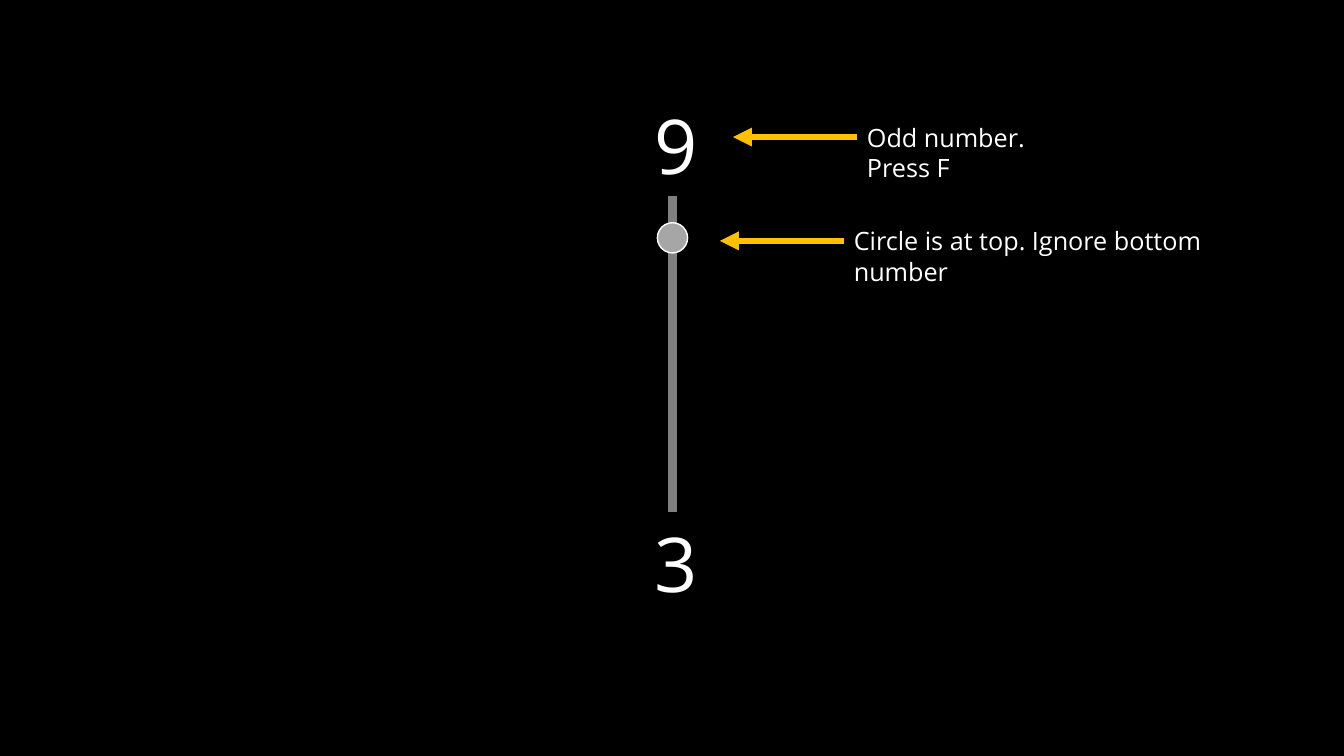
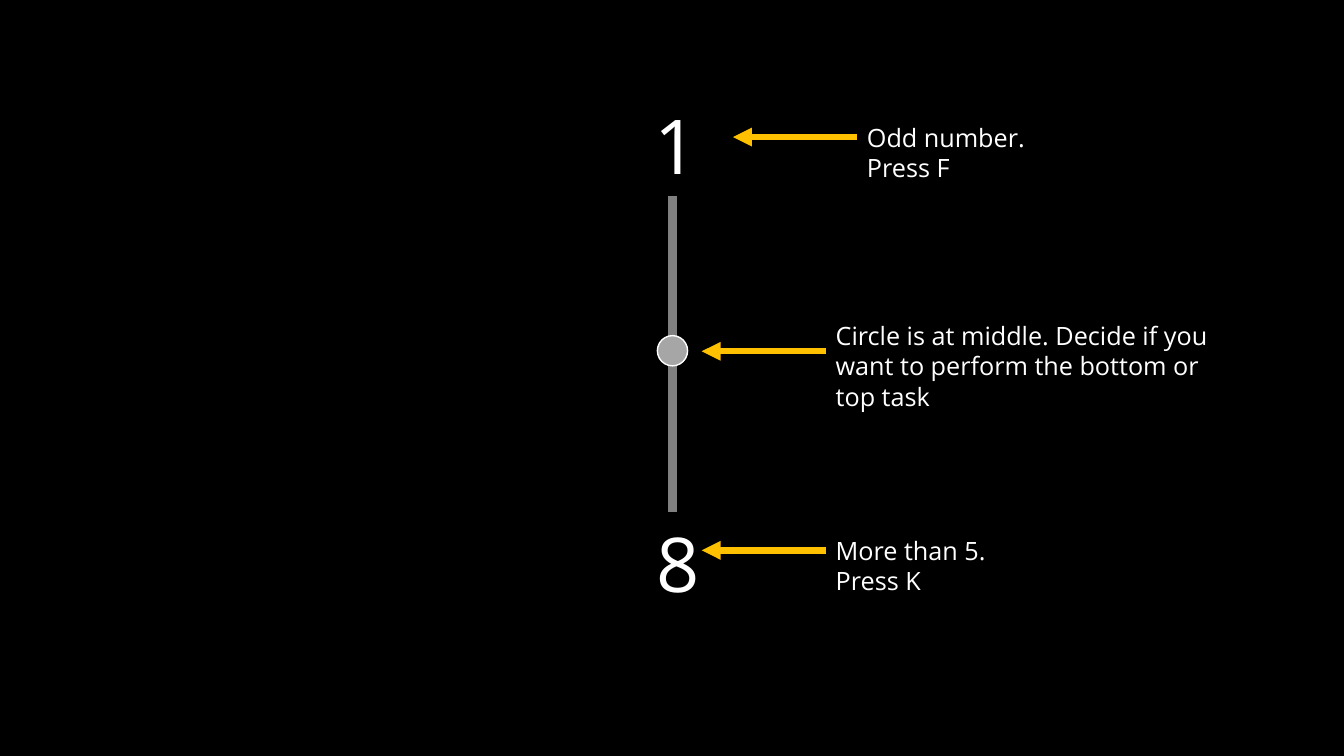
from dataclasses import dataclass

from lxml.etree import SubElement
from pptx import Presentation
from pptx.dml.color import RGBColor
from pptx.enum.shapes import MSO_CONNECTOR as Connector, MSO_SHAPE as Preset
from pptx.enum.text import MSO_AUTO_SIZE as AutoSize
from pptx.oxml.ns import qn
from pptx.shapes.connector import Connector as Line
from pptx.slide import Slide
from pptx.util import Inches, Pt

COLORS = {
    "background": "000000",
    "text": "FFFFFF",
    "track": "808080",
    "circle": "A6A6A6",
    "arrow": "FFC000",
}
FONT = "Open Sans"
TRACK_X, TRACK_TOP, TRACK_BOTTOM = 6.67, 1.94, 5.08
CIRCLE_SIZE = 0.3
NUMBER_TOP, NUMBER_WIDTH, NUMBER_HEIGHT = 0.93, 0.54, 1.01
ARROW_LENGTH = 1.23


@dataclass(frozen=True)
class Callout:
    text: str
    left: float
    top: float
    width: float
    height: float = 0.4


@dataclass(frozen=True)
class Trial:
    top_number: str
    bottom_number: str
    bottom_left: float
    circle_top: float
    callouts: tuple[Callout, ...]


ODD_NUMBER = Callout("Odd number. Press F", 8.5, 1.16, 2.2)
TRIALS = (
    Trial("9", "3", 6.39, 2.21, (
        ODD_NUMBER,
        Callout("Circle is at top. Ignore bottom number", 8.37, 2.19, 3.83),
    )),
    Trial("1", "8", 6.41, 3.33, (
        ODD_NUMBER,
        Callout("More than 5. Press K", 8.19, 5.26, 2.17),
        Callout("Circle is at middle. Decide if you want to perform the bottom or top task",
                8.19, 3.13, 4.16, 0.71),
    )),
)


def color(name: str) -> RGBColor:
    return RGBColor.from_string(COLORS[name])


def add_text(page: Slide, text: str, *, left: float, top: float, width: float,
             height: float, size: float, wrap: bool = True) -> None:
    box = page.shapes.add_textbox(Inches(left), Inches(top), Inches(width), Inches(height))
    frame = box.text_frame
    frame.word_wrap = wrap
    frame.auto_size = AutoSize.SHAPE_TO_FIT_TEXT
    span = frame.paragraphs[0].add_run()
    span.text = text
    span.font.name = FONT
    span.font.size = Pt(size)
    span.font.color.rgb = color("text")


def add_line(page: Slide, start: tuple[float, float], end: tuple[float, float],
             name: str, weight: float) -> Line:
    line = page.shapes.add_connector(
        Connector.STRAIGHT, *(Inches(value) for value in (*start, *end)))
    line.line.color.rgb = color(name)
    line.line.width = Pt(weight)
    SubElement(line._element.spPr, qn("a:effectLst"))
    return line


def add_number(page: Slide, number: str, left: float, top: float) -> None:
    add_text(page, number, left=left, top=top, width=NUMBER_WIDTH,
             height=NUMBER_HEIGHT, size=54, wrap=False)


def add_circle(page: Slide, top: float) -> None:
    circle = page.shapes.add_shape(
        Preset.OVAL, Inches(TRACK_X - CIRCLE_SIZE / 2), Inches(top),
        Inches(CIRCLE_SIZE), Inches(CIRCLE_SIZE))
    circle.shadow.inherit = False
    circle.fill.solid()
    circle.fill.fore_color.rgb = color("circle")
    circle.line.color.rgb = color("text")
    circle.line.width = Pt(1)


def add_callout(page: Slide, callout: Callout) -> None:
    middle = callout.top + callout.height / 2
    arrow = add_line(page, (callout.left, middle),
                     (callout.left - ARROW_LENGTH, middle), "arrow", 4.5)
    SubElement(arrow.line._get_or_add_ln(), qn("a:tailEnd"), type="triangle")
    add_text(page, callout.text, left=callout.left, top=callout.top,
             width=callout.width, height=callout.height, size=18)


def add_trial(deck: Presentation, trial: Trial) -> None:
    page = deck.slides.add_slide(deck.slide_layouts.get_by_name("Blank"))
    add_number(page, trial.top_number, 6.39, NUMBER_TOP)
    add_line(page, (TRACK_X, TRACK_TOP), (TRACK_X, TRACK_BOTTOM), "track", 6)
    add_circle(page, trial.circle_top)
    add_number(page, trial.bottom_number, trial.bottom_left, TRACK_BOTTOM)
    for callout in trial.callouts:
        add_callout(page, callout)


def main() -> None:
    deck = Presentation()
    deck.slide_width, deck.slide_height = Inches(13.33), Inches(7.5)
    background = deck.slide_master.background.fill
    background.solid()
    background.fore_color.rgb = color("background")
    for trial in TRIALS:
        add_trial(deck, trial)
    deck.save("out.pptx")


main()
